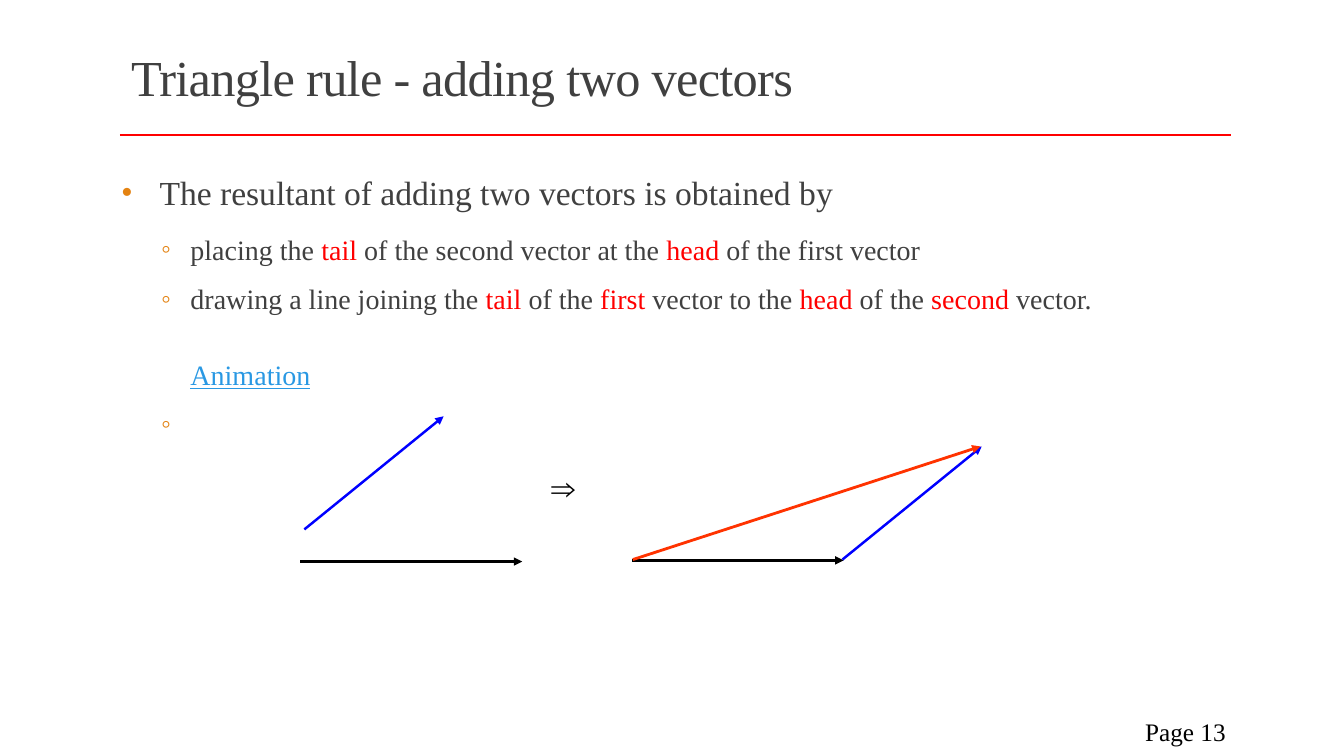
from dataclasses import dataclass

from lxml.etree import SubElement
from pptx import Presentation
from pptx.dml.color import RGBColor as RGB
from pptx.enum.shapes import MSO_CONNECTOR
from pptx.enum.text import MSO_ANCHOR, MSO_AUTO_SIZE, PP_ALIGN
from pptx.oxml.ns import qn
from pptx.util import Cm, Pt


@dataclass(frozen=True)
class Theme:
    font: str = "Times New Roman"
    text: str = "404040"
    black: str = "000000"
    key: str = "FF0000"
    bullet: str = "E48312"
    link: str = "2998E3"
    blue: str = "0000FF"
    resultant: str = "FF3300"
    title_size: float = 36
    lead_size: float = 24
    item_size: float = 20
    page_size: float = 18
    line: float = 1.75
    bold_line: float = 2


T = Theme()


def add_run(p, text, size, color):
    r = p.add_run()
    r.text = text
    r.font.name, r.font.size = T.font, Pt(size)
    r.font.color.rgb = RGB.from_string(color)
    return r


def add_line(s, start, end, color, width, arrow=False):
    cx = s.shapes.add_connector(
        MSO_CONNECTOR.STRAIGHT, *(Cm(v) for v in (*start, *end)))
    cx.line.color.rgb = RGB.from_string(color)
    cx.line.width = Pt(width)
    if arrow:
        SubElement(cx.line._get_or_add_ln(), qn("a:tailEnd"), type="triangle")
    SubElement(cx._element.spPr, qn("a:effectLst"))


def place(sp, box, anchor=MSO_ANCHOR.TOP):
    sp.left, sp.top, sp.width, sp.height = (Cm(v) for v in box)
    tf = sp.text_frame
    tf.word_wrap = True
    tf.auto_size = MSO_AUTO_SIZE.NONE
    tf.vertical_anchor = anchor
    return tf


def add_text(s, box, text, size, anchor=MSO_ANCHOR.TOP, align=PP_ALIGN.LEFT):
    tf = place(s.shapes.add_textbox(0, 0, 0, 0), box, anchor)
    p = tf.paragraphs[0]
    p.alignment = align
    add_run(p, text, size, T.black)


def set_bullet(p, char, margin, hang):
    pPr = p._p.get_or_add_pPr()
    pPr.set("marL", str(Cm(margin)))
    pPr.set("indent", str(-Cm(hang)))
    if char:
        SubElement(SubElement(pPr, qn("a:buClr")), qn("a:srgbClr"), val=T.bullet)
        SubElement(pPr, qn("a:buFont"), typeface=T.font)
        SubElement(pPr, qn("a:buChar"), char=char)
    else:
        SubElement(pPr, qn("a:buNone"))


def add_title(s, box, text):
    left, top, width, height = box
    rule_y = top + height + 0.12
    add_line(s, (left - 0.03, rule_y), (left + width + 0.02, rule_y),
             T.key, T.bold_line)
    p = place(s.shapes.title, box, MSO_ANCHOR.MIDDLE).paragraphs[0]
    p.alignment, p.line_spacing = PP_ALIGN.LEFT, 0.85
    r = add_run(p, text, T.title_size, T.text)
    r.font._element.set("spc", "-50")


def add_body(s, box, lead, items, link):
    tf = place(s.placeholders[1], box)
    tf.margin_left = tf.margin_right = 0

    def add_paragraph(p, char, margin, hang, before, after, level=0):
        set_bullet(p, char, margin, hang)
        p.level, p.line_spacing = level, 1.1
        p.space_before, p.space_after = Pt(before), Pt(after)
        return p

    def add_item(char="◦", hang=0.74, before=6):
        return add_paragraph(tf.add_paragraph(), char, 1.75, hang, before, 3, 1)

    p = add_paragraph(tf.paragraphs[0], "•", 0.97, 0.97, 0, 6)
    add_run(p, lead, T.lead_size, T.text)

    # Every second piece of an item is a key word
    for item in items:
        p = add_item()
        for i, piece in enumerate(item):
            add_run(p, piece, T.item_size, T.key if i % 2 else T.text)

    r = add_run(add_item(None, 0, 24.5), link, T.item_size, T.link)
    r.font.underline = True
    # The last bullet stands alone
    add_run(add_item(), " ", T.item_size, T.text)


def add_diagram(s, box):
    left, top, width, height = box
    base = top + height

    def vector(x1, y1, x2, y2, color, weight=T.line):
        add_line(s, (left + x1, base - y1), (left + x2, base - y2),
                 color, weight, arrow=True)

    # Two separate vectors
    vector(0, 0, 5.59, 0, T.black)
    vector(0.1, 0.81, 3.61, 3.66, T.blue)
    add_text(s, (left + 6.07, top + 1.14, 1.52, 1.3), "⇒", T.lead_size)
    # Head to tail, with their resultant
    vector(8.36, 0.03, 13.69, 0.03, T.black)
    vector(13.66, 0.05, width, 2.9, T.blue)
    vector(8.38, 0.05, width - 0.03, 2.9, T.resultant, T.bold_line)


def main():
    prs = Presentation()
    prs.slide_width, prs.slide_height = Cm(33.87), Cm(19.05)
    s = prs.slides.add_slide(prs.slide_layouts[1])

    add_title(s, (3.05, 0.79, 27.94, 2.49), "Triangle rule - adding two vectors")
    add_body(
        s, (3.05, 4.1, 27.99, 13),
        "The resultant of adding two vectors is obtained by",
        [("placing the ", "tail", " of the second vector at the ", "head",
          " of the first vector"),
         ("drawing a line joining the ", "tail ", "of the", " first ",
          "vector to the ", "head ", "of the", " second ", "vector.")],
        "Animation")
    add_diagram(s, (7.57, 10.49, 17.17, 3.66))
    add_text(s, (27.51, 17.93, 3.63, 1.02), "Page 13", T.page_size,
             MSO_ANCHOR.MIDDLE, PP_ALIGN.RIGHT)
    prs.save("out.pptx")


if __name__ == "__main__":
    main()
